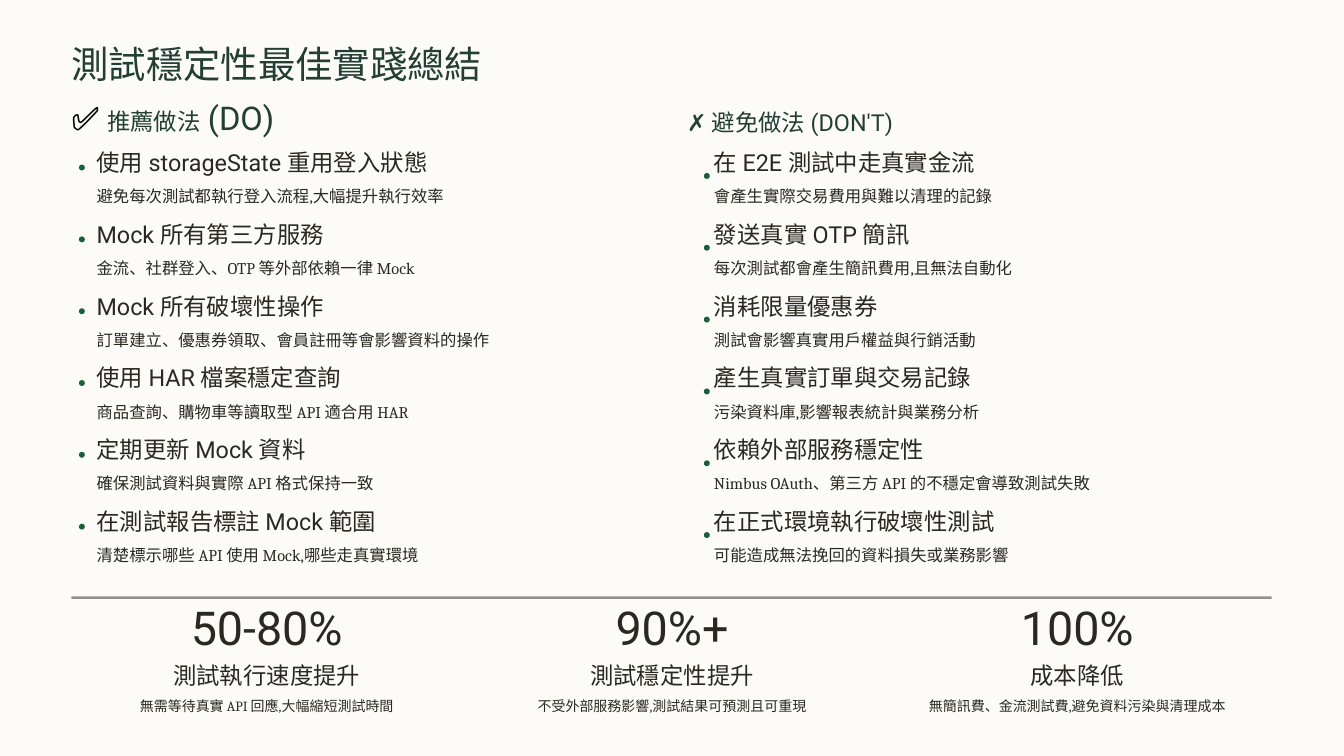
from pptx import Presentation
from pptx.dml.color import RGBColor
from pptx.enum import shapes, text
from pptx.oxml import parse_xml
from pptx.oxml.ns import nsdecls
from pptx.util import Inches, Pt

COLORS = {
    "paper": "FCFBF8",
    "green": "233E32",
    "bullet": "1B5F39",
    "ink": "2C2821",
    "black": "000000",
}
STYLES = {
    "title": {"size": Pt(32), "name": "Roboto", "color": "green"},
    "heading": {"size": Pt(20), "name": "Roboto", "color": "green"},
    "heading_big": {"size": Pt(28), "name": "Roboto", "color": "green"},
    "check": {"size": Pt(28), "name": "Roboto", "color": "black"},
    "point": {"size": Pt(20), "name": "Roboto", "color": "ink"},
    "detail": {"size": Pt(14), "name": "Cambria", "color": "ink"},
    "figure": {"size": Pt(40), "name": "Roboto", "color": "ink"},
    "note": {"size": Pt(12), "name": "Cambria", "color": "ink"},
}

SLIDE_W, SLIDE_H = 16, 9
MARGIN, CONTENT_W = 0.85, 14.29
ROW_TOP, ROW_STEP = 1.88, 1.71 / 2
COLUMN_W, DOT = 6.77, 0.07
STAT_W, STAT_STEP = 4.65, (10.5 - 0.85) / 2

DO = [
    ("使用 storageState 重用登入狀態", "避免每次測試都執行登入流程,大幅提升執行效率"),
    ("Mock 所有第三方服務", "金流、社群登入、OTP 等外部依賴一律 Mock"),
    ("Mock 所有破壞性操作", "訂單建立、優惠券領取、會員註冊等會影響資料的操作"),
    ("使用 HAR 檔案穩定查詢", "商品查詢、購物車等讀取型 API 適合用 HAR"),
    ("定期更新 Mock 資料", "確保測試資料與實際 API 格式保持一致"),
    ("在測試報告標註 Mock 範圍", "清楚標示哪些 API 使用 Mock,哪些走真實環境"),
]
DONT = [
    ("在 E2E 測試中走真實金流", "會產生實際交易費用與難以清理的記錄"),
    ("發送真實 OTP 簡訊", "每次測試都會產生簡訊費用,且無法自動化"),
    ("消耗限量優惠券", "測試會影響真實用戶權益與行銷活動"),
    ("產生真實訂單與交易記錄", "污染資料庫,影響報表統計與業務分析"),
    ("依賴外部服務穩定性", "Nimbus OAuth、第三方 API 的不穩定會導致測試失敗"),
    ("在正式環境執行破壞性測試", "可能造成無法挽回的資料損失或業務影響"),
]
STATS = [
    ("50-80%", "測試執行速度提升", "無需等待真實 API 回應,大幅縮短測試時間"),
    ("90%+", "測試穩定性提升", "不受外部服務影響,測試結果可預測且可重現"),
    ("100%", "成本降低", "無簡訊費、金流測試費,避免資料污染與清理成本"),
]


def rgb(name):
    return RGBColor.from_string(COLORS[name])


def add_text(s, box, runs, spacing=15.5, centered=False):
    """Add one line of text; runs is a list of (text, style name)."""
    tf = s.shapes.add_textbox(*map(Inches, box)).text_frame
    frame = {"word_wrap": True, "margin_left": 0, "margin_right": 0,
             "margin_top": 0, "margin_bottom": 0}
    for key, value in frame.items():
        setattr(tf, key, value)
    p = tf.paragraphs[0]
    p.line_spacing = Pt(spacing)
    if centered:
        p.alignment = text.PP_ALIGN.CENTER
    for words, style in runs:
        r = p.add_run()
        r.text = words
        for key, value in STYLES[style].items():
            if key == "color":
                r.font.color.rgb = rgb(value)
            else:
                setattr(r.font, key, value)


def add_block(s, kind, box, color):
    sp = s.shapes.add_shape(kind, *map(Inches, box))
    sp.shadow.inherit = False
    sp.fill.solid()
    sp.fill.fore_color.rgb = rgb(color)
    sp.line.fill.background()
    return sp


def add_column(s, left, heading, points, dot_left, text_left, dot_drop):
    add_text(s, (left, 1.37, COLUMN_W, 0.26), heading, 18.5)
    for i, (point, detail) in enumerate(points):
        top = ROW_TOP + i * ROW_STEP
        dot = add_block(s, shapes.MSO_SHAPE.ROUNDED_RECTANGLE,
                        (dot_left, top + dot_drop, DOT, DOT), "bullet")
        dot.adjustments[0] = 0.5
        add_text(s, (text_left, top, COLUMN_W, 0.22), [(point, "point")])
        add_text(s, (text_left, top + 0.355, COLUMN_W, 0.22), [(detail, "detail")])


def add_rule(s):
    rule = add_block(s, shapes.MSO_SHAPE.RECTANGLE,
                     (MARGIN, 7.1, CONTENT_W, 0.03), "ink")
    alpha = parse_xml(f'<a:alpha {nsdecls("a")} val="50000"/>')
    rule.fill._xPr.find(".//{*}srgbClr").append(alpha)


def add_stat(s, left, figure, label, note):
    add_text(s, (left, 7.35, STAT_W, 0.46), [(figure, "figure")], 32.5, True)
    add_text(s, (left, 7.99, STAT_W, 0.22), [(label, "point")], centered=True)
    add_text(s, (left, 8.29, STAT_W, 0.22), [(note, "note")], centered=True)


def main():
    prs = Presentation()
    prs.slide_width, prs.slide_height = Inches(SLIDE_W), Inches(SLIDE_H)
    s = prs.slides.add_slide(prs.slide_layouts[6])
    add_block(s, shapes.MSO_SHAPE.RECTANGLE, (0, 0, SLIDE_W, SLIDE_H), "paper")

    add_text(s, (MARGIN, 0.59, COLUMN_W, 0.43), [("測試穩定性最佳實踐總結", "title")], 31)
    do_heading = [("✅ ", "check"), ("推薦做法", "heading"), (" (DO)", "heading_big")]
    add_column(s, MARGIN, do_heading, DO, 0.94, 1.15, 0.08)
    add_column(s, 8.18, [("✗ 避免做法 (DON'T)", "heading")], DONT, 8.38, 8.5, 0.18)
    add_rule(s)
    for i, stat in enumerate(STATS):
        add_stat(s, MARGIN + i * STAT_STEP, *stat)
    prs.save("out.pptx")


if __name__ == "__main__":
    main()
